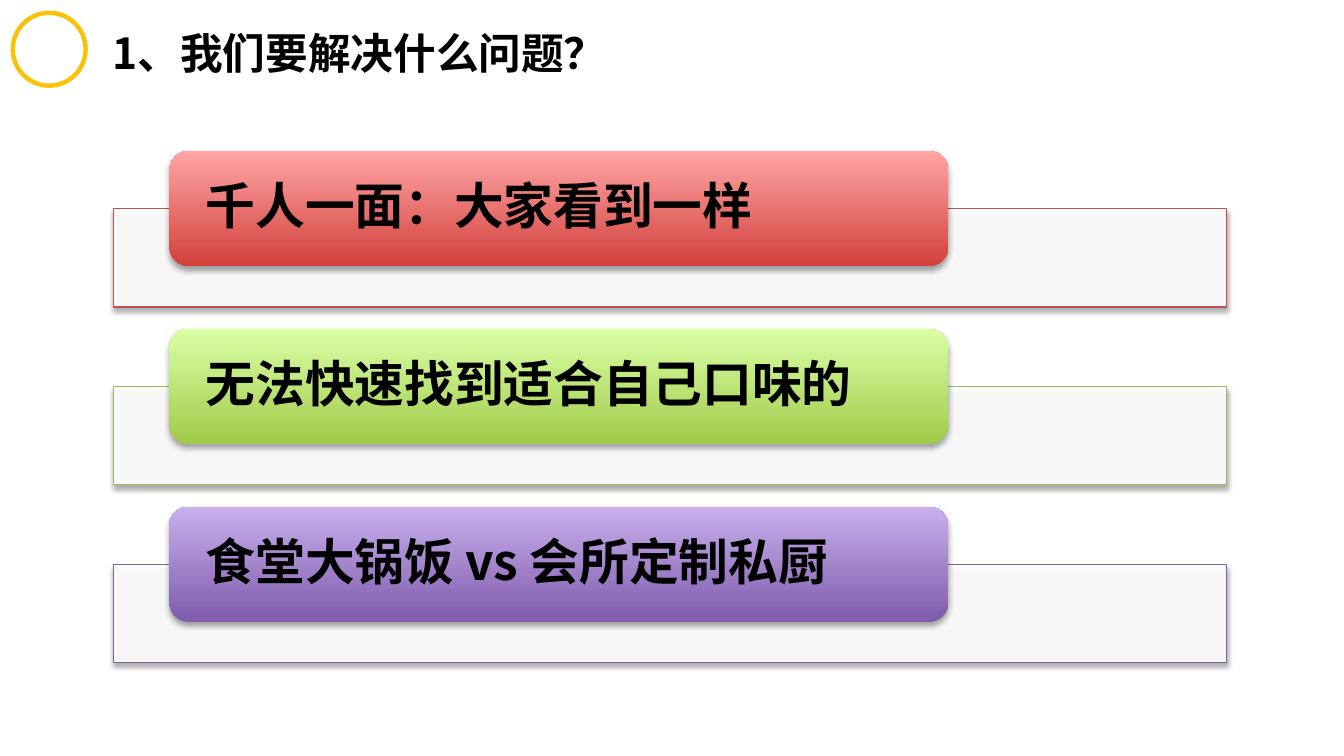
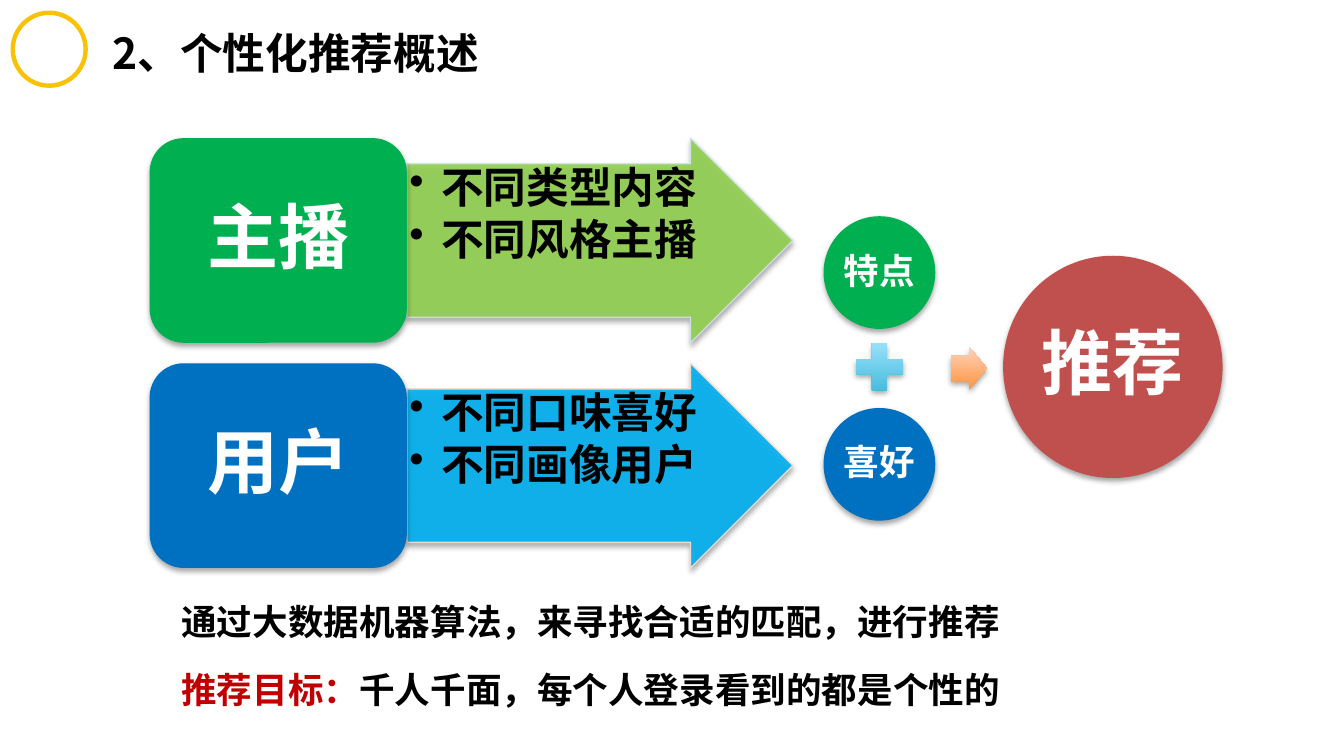
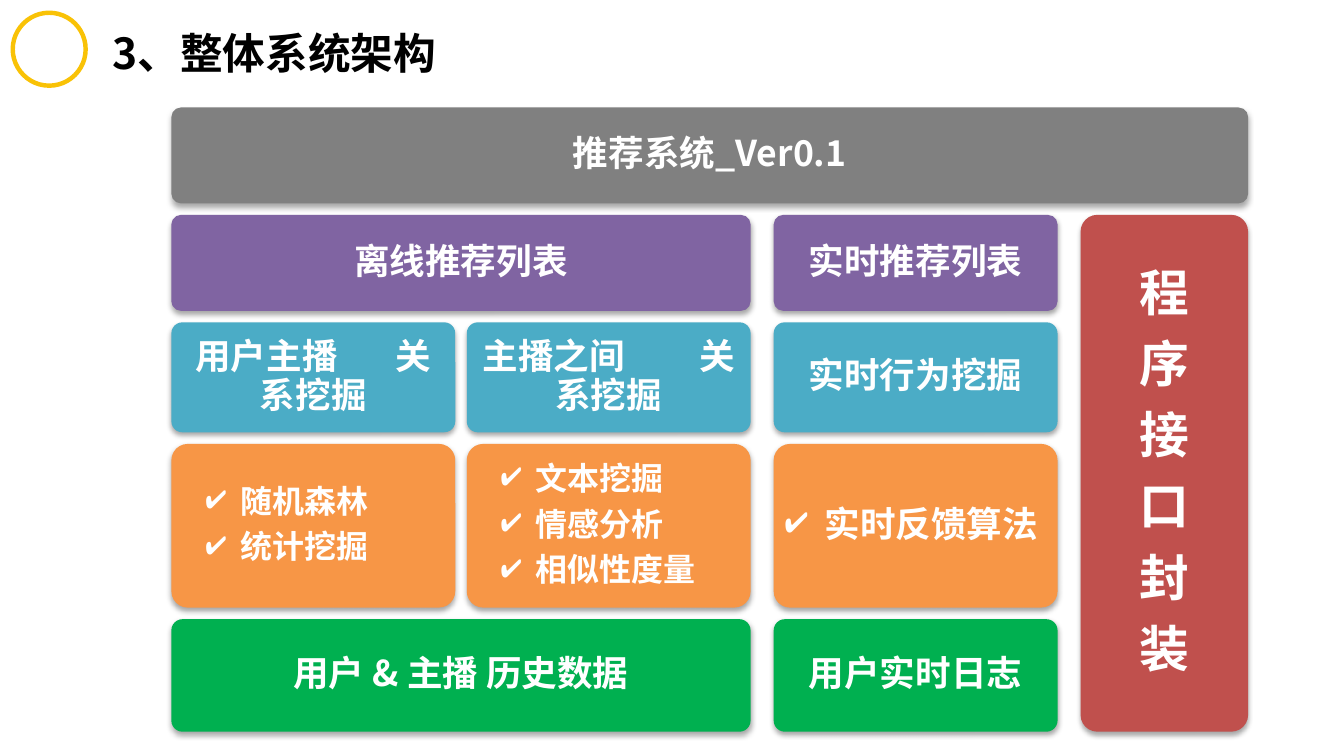
from collections import namedtuple
from itertools import accumulate

from lxml.etree import SubElement
from pptx import Presentation
from pptx.dml.color import RGBColor
from pptx.enum.shapes import MSO_SHAPE as Geo
from pptx.enum.text import MSO_ANCHOR as Anchor, MSO_AUTO_SIZE as Fit, PP_ALIGN as Align
from pptx.oxml.ns import qn
from pptx.util import Emu, Inches, Pt

HEX = dict(
    black="000000", white="FFFFFF", ring="F9C206", grey="808080",
    red="C0504D", dark="C00000", lime="9BBB59", plum="8064A2",
    green="00B050", blue="0070C0", teal="4BACC6", amber="F79646",
    leaf="92D050", sky="00B0F0", mist="D0E3EA", peach="FCDDCF",
)
# Gradients run from the bottom colour to the top colour
FADE = dict(
    red=("D1403C", "FFA6A5"), lime=("A0CA4A", "DAFFA5"), plum=("7F5BAB", "C8B0ED"),
    aqua=("39B7D8", "A7E6FF"), amber=("FF953E", "FFD2BD"),
)
FONT = "Noto Sans CJK SC"
WIDE, HIGH = 10.51, 5.91

Box = namedtuple("Box", "x y w h")
Dot = namedtuple("Dot", "mark left hang")  # bullet sign, text indent, hanging width


def part(box, x, y, w, h):
    """A box inside another one, given as shares of its size."""
    return Box(box.x + x * box.w, box.y + y * box.h, w * box.w, h * box.h)


def put(obj, box):
    obj.left, obj.top, obj.width, obj.height = map(Inches, box)


def rgb(name):
    return RGBColor.from_string(HEX[name])


# ---- Text ----
def add_run(para, text, size, color, gap=0):
    run = para.add_run()
    run.text = text
    font = run.font
    font.size, font.bold, font.name = Pt(size), True, FONT
    font.color.rgb = rgb(color)
    props = run._r.get_or_add_rPr()
    SubElement(props, qn("a:ea")).set("typeface", FONT)
    if gap:
        props.set("spc", str(gap * 100))


def write(shape, paras, size, color="white", align=Align.CENTER, inset=(.08, .08),
          lines=.9, after=.35, dot=None, anchor=Anchor.MIDDLE):
    """Each paragraph is a string or a list of (text, colour, letter gap) runs."""
    frame = shape.text_frame
    frame.word_wrap, frame.auto_size = True, Fit.NONE
    frame.vertical_anchor = anchor
    frame.margin_left = frame.margin_right = Inches(inset[0])
    frame.margin_top = frame.margin_bottom = Inches(inset[1])
    for i, runs in enumerate(paras):
        para = frame.add_paragraph() if i else frame.paragraphs[0]
        para.alignment, para.line_spacing = align, lines
        para.space_before, para.space_after = Pt(0), Pt(after * size)
        if dot:
            props = para._p.get_or_add_pPr()
            props.set("marL", str(Inches(dot.left)))
            props.set("indent", str(-Inches(dot.hang)))
            SubElement(props, qn("a:buChar")).set("char", dot.mark)
        for text, tone, gap in [(runs, color, 0)] if isinstance(runs, str) else runs:
            add_run(para, text, size, tone, gap)


# ---- Shapes ----
def fade_out(fill, share):
    node = fill._xPr.find(qn("a:solidFill"))[0]
    SubElement(node, qn("a:alpha")).set("val", str(share * 1000))


def shade(shape, alpha=35):
    """Soft shadow straight below."""
    shape.shadow.inherit = False
    fx = shape._element.spPr.find(qn("a:effectLst"))
    drop = SubElement(fx, qn("a:outerShdw"), blurRad=str(Pt(3.1)), dist=str(Pt(1.8)),
                      dir="5400000", rotWithShape="0")
    tone = SubElement(drop, qn("a:srgbClr"), val=HEX["black"])
    SubElement(tone, qn("a:alpha")).set("val", str(alpha * 1000))


def draw(slide, geo, box, fill=None, fade=None, line=None, clear=None, adj=()):
    shape = slide.shapes.add_shape(geo, *map(Inches, box))
    for i, val in enumerate(adj):
        shape.adjustments[i] = val
    if fade:
        shape.fill.gradient()
        shape.fill.gradient_angle = 90
        for stop, tone in zip(shape.fill.gradient_stops, FADE[fade]):
            stop.color.rgb = RGBColor.from_string(tone)
    else:
        shape.fill.solid()
        shape.fill.fore_color.rgb = rgb(fill)
        if clear:
            fade_out(shape.fill, clear)
    if line:
        shape.line.color.rgb = rgb(line)
        shape.line.width = Pt(.75)
    else:
        shape.line.fill.background()
    shade(shape)
    return shape


# ---- Shared layout: ring and title ----
def set_up(deck):
    layout = deck.slide_layouts[5]
    put(layout.placeholders[0], Box(.8, .08, 5.41, .66))
    return layout


def add_ring(slide, layout):
    ring = slide.shapes.add_shape(Geo.OVAL, *map(Inches, (.1, .1, .57, .57)))
    ring.fill.background()
    ring.line.color.rgb = rgb("ring")
    ring.line.width = Pt(2.5)
    ring.shadow.inherit = False
    layout.element.cSld.spTree.append(ring.element)


def new_page(deck, layout, title):
    slide = deck.slides.add_slide(layout)
    write(slide.shapes.title, [title], 24, "black", Align.LEFT, (.08, .04), 1, 0)
    return slide


# ---- Slide 1: problems ----
def problem(slide, box, text, tone):
    draw(slide, Geo.RECTANGLE, part(box, 0, .37, 1, .63), "white", line=tone, clear=90)
    pill = draw(slide, Geo.ROUNDED_RECTANGLE, part(box, .05, 0, .7, .74), fade=tone)
    write(pill, [text], 28, "black", Align.LEFT, (.24, 0))


def problems(slide, box):
    rows = (("千人一面：大家看到一样", "red"),
            ("无法快速找到适合自己口味的", "lime"),
            ("食堂大锅饭 vs 会所定制私厨", "plum"))
    step = (box.h - 1.22) / (len(rows) - 1)
    for i, (text, tone) in enumerate(rows):
        problem(slide, Box(box.x, box.y + i * step, box.w, 1.22), text, tone)


# ---- Slide 2: overview ----
def side(slide, box, name, items, tone, pale, edge):
    arrow = draw(slide, Geo.RIGHT_ARROW, part(box, .4, 0, .6, 1), pale,
                 line=edge, clear=90, adj=(.75, .5))
    fade_out(arrow.line.fill, 90)
    write(arrow, items, 24, "black", Align.LEFT, (.02, .02), after=.15,
          dot=Dot("•", .25, .25), anchor=Anchor.TOP)
    card = draw(slide, Geo.ROUNDED_RECTANGLE, part(box, 0, 0, .4, 1), tone)
    write(card, [name], 40, inset=(.17, .08))


def sides(slide, box):
    rows = (("主播", ("不同类型内容", "不同风格主播"), "green", "leaf", "mist"),
            ("用户", ("不同口味喜好", "不同画像用户"), "blue", "sky", "peach"))
    for i, row in enumerate(rows):
        side(slide, Box(box.x, box.y + i * (box.h - 1.6), box.w, 1.6), *row)


def match(slide, box):
    discs = (("特点", "green", 20, (0, 0, .28, .37)),
             ("喜好", "blue", 20, (0, .63, .28, .37)),
             ("推荐", "red", 40, (.45, .13, .55, .73)))
    for text, tone, size, spot in discs:
        disc = draw(slide, Geo.OVAL, part(box, *spot), tone)
        write(disc, [text], size, inset=(.03, .03))
    draw(slide, Geo.MATH_PLUS, part(box, .06, .39, .16, .21), fade="aqua")
    draw(slide, Geo.RIGHT_ARROW, part(box, .32, .43, .09, .14), fade="amber", adj=(.6, .5))


def notes(slide, box):
    rows = ([("通过大数据机器算法，来寻找合适的匹配，进行推荐", "black", 0)],
            [("推荐目标：", "dark", 0), ("千人千面，每个人登录看到的都是个性的", "black", 0)])
    for i, runs in enumerate(rows):
        spot = part(box, 0, i * .55, 1, .45)
        note = slide.shapes.add_textbox(*map(Inches, spot))
        write(note, [runs], 20, align=Align.LEFT, inset=(.1, .05), lines=1, after=0,
              anchor=Anchor.TOP)


# ---- Slide 3: architecture ----
COLS, ROWS, GAP = (2.22, 2.22, 2.22, 1.31), (.75, .75, .86, 1.28, .88), .09
COL_GAPS = (GAP, 2 * GAP, 2 * GAP)


def cell(box, col, row, cols=1, rows=1):
    """Grid box at a column and row, spanning some of each."""
    xs = list(accumulate((w + g for w, g in zip(COLS, COL_GAPS)), initial=box.x))
    ys = list(accumulate((h + GAP for h in ROWS[:-1]), initial=box.y))
    end, low = col + cols - 1, row + rows - 1
    return Box(xs[col], ys[row], xs[end] + COLS[end] - xs[col], ys[low] + ROWS[low] - ys[row])


def stack(slide, box):
    def split(name, gap):
        return [(name, "white", 0), (" ", "white", gap), ("关系挖掘", "white", 0)]

    blocks = (
        ((0, 0, 4), "grey", ["推荐系统_Ver0.1"]),
        ((0, 1, 2), "plum", ["离线推荐列表"]),
        ((2, 1), "plum", ["实时推荐列表"]),
        ((0, 2), "teal", [split("用户主播", 28)]),
        ((1, 2), "teal", [split("主播之间", 37)]),
        ((2, 2), "teal", ["实时行为挖掘"]),
        ((0, 4, 2), "green", ["用户 & 主播 历史数据"]),
        ((2, 4), "green", ["用户实时日志"]),
    )
    lists = (
        (0, 18, Dot("✔", .45, .27), ("随机森林", "统计挖掘")),
        (1, 18, Dot("✔", .45, .27), ("文本挖掘", "情感分析", "相似性度量")),
        (2, 20, Dot("✔", .31, .31), ("实时反馈算法",)),
    )

    def block(spot, tone):
        return draw(slide, Geo.ROUNDED_RECTANGLE, cell(box, *spot), tone, adj=(.1,))

    for spot, tone, paras in blocks:
        write(block(spot, tone), paras, 20, inset=(.06, .06))
    for col, size, dot, items in lists:
        write(block((col, 3), "amber"), items, size, align=Align.LEFT,
              inset=(.05, .05), dot=dot)
    write(block((3, 1, 1, 4), "red"), list("程序接口封装"), 28)


def main():
    deck = Presentation()
    deck.slide_width, deck.slide_height = Emu(Inches(WIDE)), Emu(Inches(HIGH))
    layout = set_up(deck)

    first = new_page(deck, layout, "1、我们要解决什么问题？")
    add_ring(first, layout)
    problems(first, Box(.89, 1.18, 8.7, 4))

    second = new_page(deck, layout, "2、个性化推荐概述")
    sides(second, Box(1.17, 1.08, 5.03, 3.36))
    match(second, Box(6.44, 1.69, 3.12, 2.38))
    notes(second, Box(1.32, 4.64, 8.11, .97))

    third = new_page(deck, layout, "3、整体系统架构")
    stack(third, Box(1.34, .84, 8.43, 4.88))

    deck.save("out.pptx")


if __name__ == "__main__":
    main()
